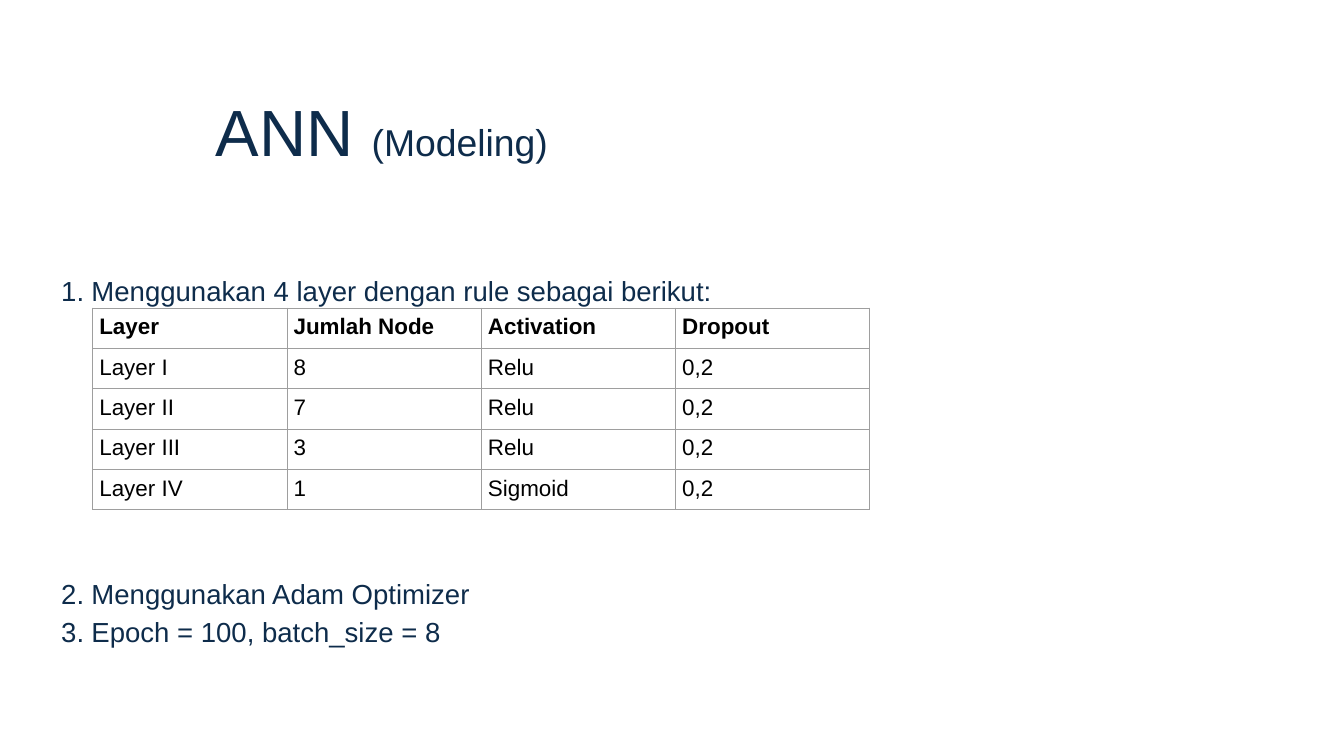
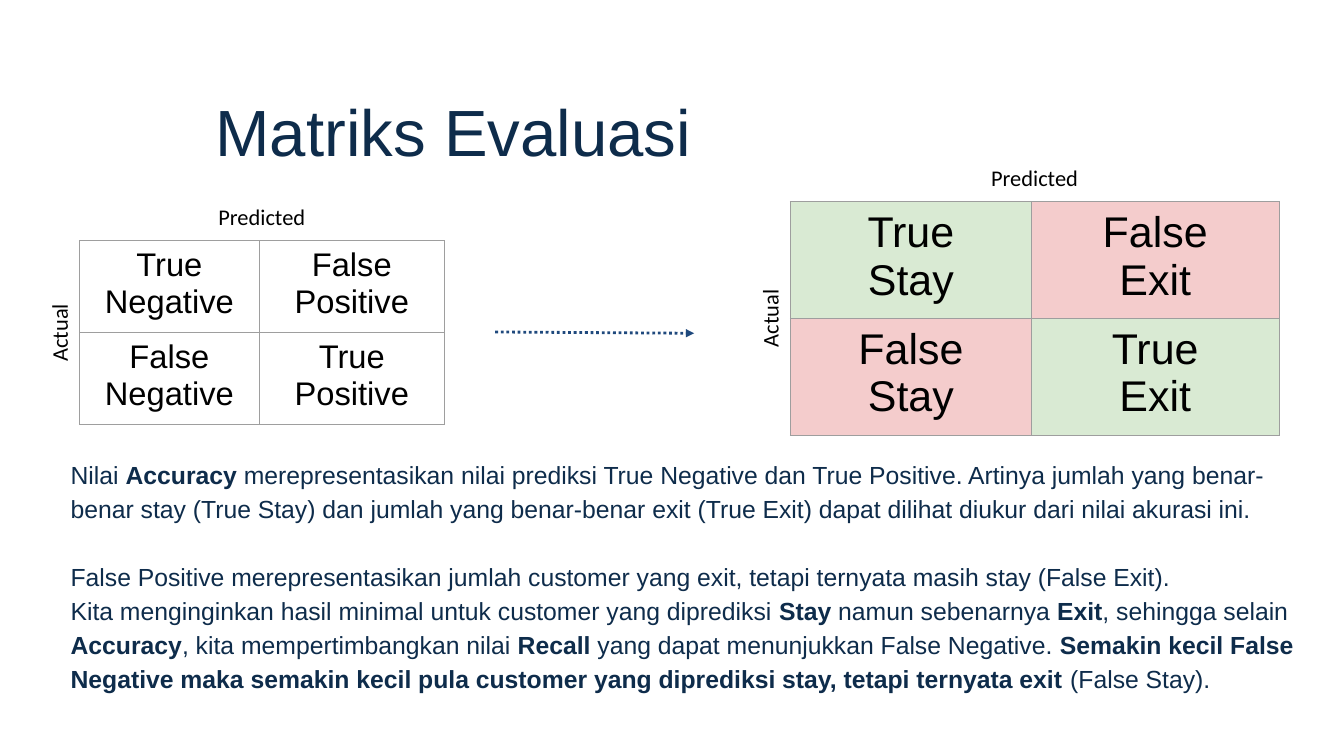
from dataclasses import dataclass

import pptx
import pptx.dml.color
import pptx.enum.dml
import pptx.enum.shapes
import pptx.enum.text
import pptx.oxml
import pptx.oxml.ns
import pptx.util

Pt = pptx.util.Pt
PP_ALIGN = pptx.enum.text.PP_ALIGN


@dataclass(frozen=True)
class Theme:
    navy: str = "0E2C4B"
    black: str = "000000"
    border: str = "9E9E9E"
    arrow: str = "1F497D"
    correct: str = "D9EAD3"
    wrong: str = "F4CCCC"
    font: str = "Arial"
    label_font: str = "Calibri"
    title_size: float = 70
    subtitle_size: float = 40
    list_size: float = 29.5
    prose_size: float = 26.5
    table_size: float = 24
    label_size: float = 24


THEME = Theme()
SLIDE_SIZE = (1440, 810)
TITLE_BOX = (231, 81, 1109.5, 85)
LAYOUT_TITLE_AND_CONTENT = 1

# Each body paragraph: text with **bold** parts, space before
MODELING_TITLE = [("ANN ", THEME.title_size), ("(Modeling)", THEME.subtitle_size)]
MODELING_STEPS = [
    ("Menggunakan 4 layer dengan rule sebagai berikut:", 0),
    ("Menggunakan Adam Optimizer", 284),
    ("Epoch = 100, batch_size = 8", 0),
]
MODELING_BOX = (62, 288, 1315.5, 406)
LAYER_ROWS = [
    ["Layer", "Jumlah Node", "Activation", "Dropout"],
    ["Layer I", "8", "Relu", "0,2"],
    ["Layer II", "7", "Relu", "0,2"],
    ["Layer III", "3", "Relu", "0,2"],
    ["Layer IV", "1", "Sigmoid", "0,2"],
]
LAYER_TABLE = dict(left=99.2, top=330, column_widths=[208.2] * 4, row_height=43.2)

EVALUATION_TITLE = [("Matriks Evaluasi", THEME.title_size)]
EVALUATION_NOTES = [
    ("Nilai **Accuracy** merepresentasikan nilai prediksi True Negative dan True Positive. "
     "Artinya jumlah yang benar-benar stay (True Stay) dan jumlah yang benar-benar exit "
     "(True Exit) dapat dilihat diukur dari nilai akurasi ini.", 0),
    ("False Positive merepresentasikan jumlah customer yang exit, tetapi ternyata masih stay "
     "(False Exit).", 36.6),
    ("Kita menginginkan hasil minimal untuk customer yang diprediksi **Stay** namun sebenarnya "
     "**Exit**, sehingga selain **Accuracy**, kita mempertimbangkan nilai **Recall** yang dapat "
     "menunjukkan False Negative. **Semakin kecil False Negative maka semakin kecil pula "
     "customer yang diprediksi stay, tetapi ternyata exit** (False Stay).", 0),
]
EVALUATION_BOX = (75.6, 487.5, 1339, 291)
MATRICES = [
    dict(rows=[["True Negative", "False Positive"], ["False Negative", "True Positive"]],
         left=85, top=257.8, column_widths=[193, 198], row_height=98.6, size=35),
    dict(rows=[["True\nStay", "False\nExit"], ["False\nStay", "True\nExit"]],
         left=846.7, top=216, column_widths=[258.5, 265], row_height=125.2, size=46,
         fills=[[THEME.correct, THEME.wrong], [THEME.wrong, THEME.correct]]),
]
ARROW = (530.6, 355.7, 743.8, 357.1)
LABEL_SIZE = (162, 44)
PREDICTED_RISE = 25  # table top to label centre
ACTUAL_OFFSET = 21.6  # table left to label centre


def points(*values):
    return [Pt(value) for value in values]


def rgb(color):
    return pptx.dml.color.RGBColor.from_string(color)


def add_xml(parent, xml):
    namespaces = pptx.oxml.ns.nsdecls("a")
    parent.append(pptx.oxml.parse_xml(xml.replace("/>", f" {namespaces}/>", 1)
                                      if xml.count("<") == 1
                                      else xml.replace(">", f" {namespaces}>", 1)))


def style_font(font, size, color, name=THEME.font, bold=False):
    font.size, font.name, font.bold = Pt(size), name, bold
    font.color.rgb = rgb(color)


def place(shape, box):
    shape.left, shape.top, shape.width, shape.height = points(*box)


def prepare_frame(text_frame, margin):
    text_frame.word_wrap = True
    text_frame.auto_size = pptx.enum.text.MSO_AUTO_SIZE.NONE
    text_frame.vertical_anchor = pptx.enum.text.MSO_ANCHOR.TOP
    text_frame.margin_left = text_frame.margin_right = Pt(margin)
    text_frame.margin_top = text_frame.margin_bottom = Pt(margin)


def add_titled_slide(presentation, title_runs):
    layout = presentation.slide_layouts[LAYOUT_TITLE_AND_CONTENT]
    slide = presentation.slides.add_slide(layout)
    title = slide.shapes.title
    place(title, TITLE_BOX)
    prepare_frame(title.text_frame, 0)
    paragraph = title.text_frame.paragraphs[0]
    paragraph.alignment = PP_ALIGN.LEFT
    paragraph.line_spacing = 1.2
    for text, size in title_runs:
        run = paragraph.add_run()
        run.text = text
        style_font(run.font, size, THEME.navy)
    return slide


def fill_body(slide, paragraphs, box, size, numbered=False):
    body = slide.placeholders[1]
    place(body, box)
    text_frame = body.text_frame
    prepare_frame(text_frame, 0)
    for index, (text, space_before) in enumerate(paragraphs):
        paragraph = text_frame.paragraphs[0] if index == 0 else text_frame.add_paragraph()
        properties = paragraph._p.get_or_add_pPr()
        properties.set("marL", str(Pt(36 if numbered else 0)))
        properties.set("indent", str(Pt(-32.4 if numbered else 0)))
        if numbered:
            add_xml(properties, f'<a:buClr><a:srgbClr val="{THEME.navy}"/></a:buClr>')
            add_xml(properties, '<a:buFont typeface="+mj-lt"/>')
            add_xml(properties, '<a:buAutoNum type="arabicPeriod"/>')
        else:
            add_xml(properties, "<a:buNone/>")
        paragraph.alignment = PP_ALIGN.LEFT
        paragraph.line_spacing = 1.15
        paragraph.space_before = Pt(space_before)
        for part, segment in enumerate(text.split("**")):
            run = paragraph.add_run()
            run.text = segment
            style_font(run.font, size, THEME.navy, bold=part % 2 == 1)


def set_borders(cell):
    properties = cell._tc.get_or_add_tcPr()
    for side in ("lnL", "lnR", "lnT", "lnB"):
        add_xml(properties, f'<a:{side} w="{Pt(0.75)}"><a:solidFill>'
                            f'<a:srgbClr val="{THEME.border}"/></a:solidFill></a:{side}>')


def add_grid(slide, rows, left, top, column_widths, row_height, size=THEME.table_size,
             fills=None, alignment=PP_ALIGN.CENTER, bold_header=False):
    frame = slide.shapes.add_table(
        len(rows), len(column_widths),
        *points(left, top, sum(column_widths), row_height * len(rows)))
    table = frame.table
    table.first_row = table.horz_banding = False
    for column, width in zip(table.columns, column_widths):
        column.width = Pt(width)
    for row_index, texts in enumerate(rows):
        table.rows[row_index].height = Pt(row_height)
        for column_index, text in enumerate(texts):
            cell = table.cell(row_index, column_index)
            cell.margin_left = cell.margin_right = Pt(7.2)
            cell.margin_top = cell.margin_bottom = Pt(7.2)
            set_borders(cell)
            if fills:
                cell.fill.solid()
                cell.fill.fore_color.rgb = rgb(fills[row_index][column_index])
            else:
                cell.fill.background()
            cell.text_frame.text = text
            for paragraph in cell.text_frame.paragraphs:
                paragraph.alignment = alignment
                style_font(paragraph.runs[0].font, size, THEME.black,
                           bold=bold_header and row_index == 0)


def add_axis_label(slide, text, center_x, center_y, rotation=0):
    width, height = LABEL_SIZE
    label = slide.shapes.add_textbox(
        *points(center_x - width / 2, center_y - height / 2, width, height))
    label.rotation = rotation
    prepare_frame(label.text_frame, 7.2)
    label.text_frame.text = text
    paragraph = label.text_frame.paragraphs[0]
    paragraph.alignment = PP_ALIGN.CENTER
    style_font(paragraph.runs[0].font, THEME.label_size, THEME.black, THEME.label_font)


def add_confusion_matrix(slide, matrix):
    add_grid(slide, **matrix)
    left, top = matrix["left"], matrix["top"]
    add_axis_label(slide, "Predicted", left + sum(matrix["column_widths"]) / 2,
                   top - PREDICTED_RISE)
    add_axis_label(slide, "Actual", left - ACTUAL_OFFSET, top + matrix["row_height"], 270)


def add_dotted_arrow(slide):
    arrow = slide.shapes.add_connector(
        pptx.enum.shapes.MSO_CONNECTOR.STRAIGHT, *points(*ARROW))
    arrow.line.color.rgb = rgb(THEME.arrow)
    arrow.line.width = Pt(3)
    arrow.line.dash_style = pptx.enum.dml.MSO_LINE.ROUND_DOT
    add_xml(arrow.line._get_or_add_ln(), '<a:tailEnd type="triangle"/>')
    add_xml(arrow._element.spPr, "<a:effectLst/>")


def build_modeling(presentation):
    slide = add_titled_slide(presentation, MODELING_TITLE)
    fill_body(slide, MODELING_STEPS, MODELING_BOX, THEME.list_size, numbered=True)
    add_grid(slide, LAYER_ROWS, **LAYER_TABLE, alignment=PP_ALIGN.LEFT, bold_header=True)


def build_evaluation(presentation):
    slide = add_titled_slide(presentation, EVALUATION_TITLE)
    fill_body(slide, EVALUATION_NOTES, EVALUATION_BOX, THEME.prose_size)
    for matrix in MATRICES:
        add_confusion_matrix(slide, matrix)
    add_dotted_arrow(slide)


def main():
    presentation = pptx.Presentation()
    presentation.slide_width, presentation.slide_height = points(*SLIDE_SIZE)
    build_modeling(presentation)
    build_evaluation(presentation)
    presentation.save("out.pptx")


if __name__ == "__main__":
    main()
